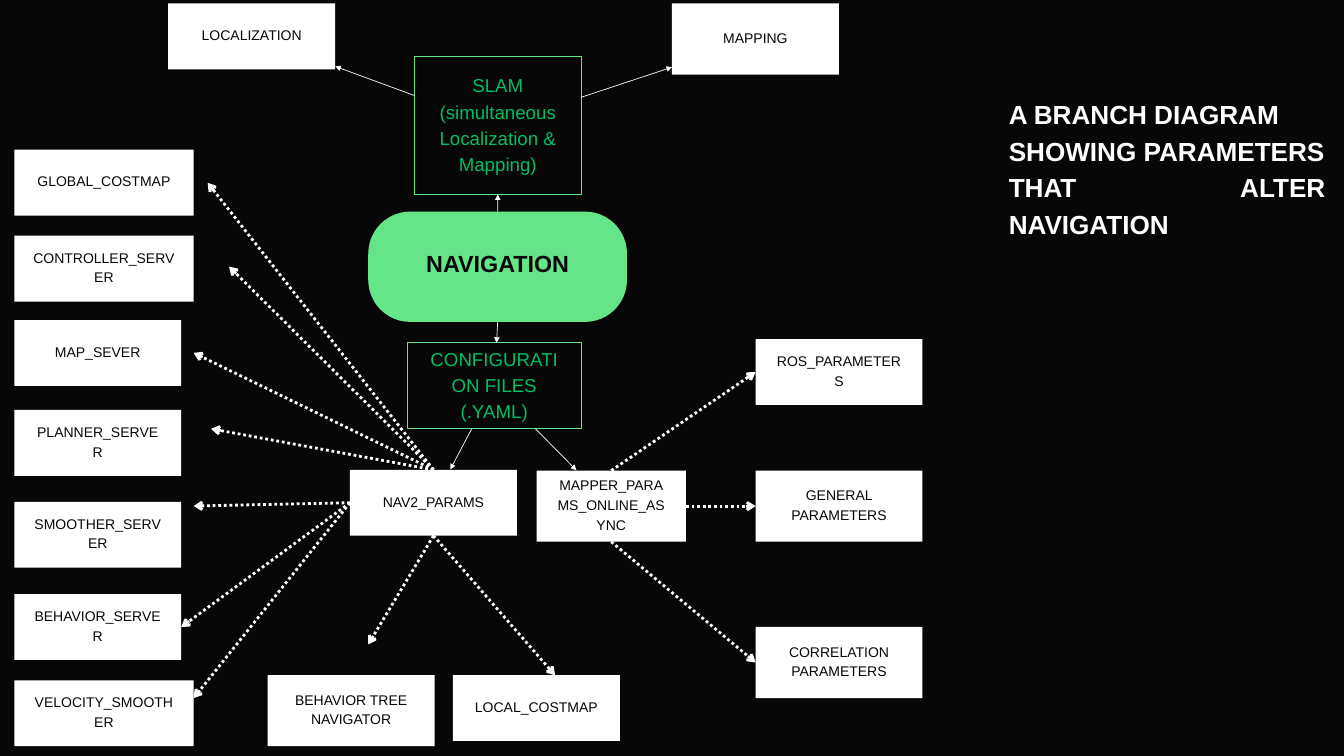
"""Builds a branch diagram of the parameters that alter navigation."""
from lxml.etree import SubElement
from pptx import Presentation
from pptx.dml.color import RGBColor
from pptx.enum.dml import MSO_LINE
from pptx.enum.shapes import MSO_CONNECTOR, MSO_SHAPE
from pptx.enum.text import MSO_ANCHOR, PP_ALIGN
from pptx.oxml.ns import qn
from pptx.util import Cm, Pt

BLACK, WHITE, GREEN, DARK_GREEN = "070707", "FFFFFF", "64E688", "00BF63"
TOP, LEFT, BOTTOM, RIGHT = range(4)


def color(value):
    return RGBColor.from_string(value)


def write(tf, text, size=15, ink=BLACK, bold=False, align=PP_ALIGN.CENTER, spacing=21):
    tf.word_wrap = True
    for i, line in enumerate(text.split("\n")):
        p = tf.paragraphs[0] if i == 0 else tf.add_paragraph()
        p.alignment, p.line_spacing = align, Pt(spacing)
        r = p.add_run()
        r.text = line
        r.font.name, r.font.size, r.font.bold = "Arial", Pt(size), bold
        r.font.color.rgb = color(ink)


class Diagram:
    def __init__(self, s):
        self.s = s
        s.background.fill.solid()
        s.background.fill.fore_color.rgb = color(BLACK)

    def box(self, text, x, y, w=6.31, h=2.49, fill=WHITE, border=None,
            shape=MSO_SHAPE.RECTANGLE, lift=0.2, **style):
        sp = self.s.shapes.add_shape(shape, Cm(x), Cm(y), Cm(w), Cm(h))
        sp.shadow.inherit = False
        sp.fill.solid()
        sp.fill.fore_color.rgb = color(fill)
        if border:
            sp.line.color.rgb = color(border)
            sp.line.width = Pt(0.75)
        else:
            sp.line.fill.background()
        tf = sp.text_frame
        tf.margin_left = tf.margin_right = Cm(0.71)
        tf.margin_top, tf.margin_bottom = 0, Cm(lift)
        tf.vertical_anchor = MSO_ANCHOR.MIDDLE
        write(tf, text, **style)
        return sp

    def pill(self, text, x, y, w, h, radius, **style):
        sp = self.box(text, x, y, w, h, shape=MSO_SHAPE.ROUNDED_RECTANGLE, **style)
        sp.adjustments[0] = radius
        return sp

    def arrow(self, start, end, dotted=False):
        """Draws an arrow; each end is an (x, y) point or a (shape, side) pair."""
        points = [(0, 0) if hasattr(a, "shape_id") else (Cm(a), Cm(b)) for a, b in (start, end)]
        c = self.s.shapes.add_connector(MSO_CONNECTOR.STRAIGHT, *points[0], *points[1])
        for (a, b), join in ((start, c.begin_connect), (end, c.end_connect)):
            if hasattr(a, "shape_id"):
                join(a, b)
        c.line.color.rgb = color(WHITE)
        c.line.width = Pt(3 if dotted else 0.75)
        if dotted:
            c.line.dash_style = MSO_LINE.ROUND_DOT
        ln = c.line._get_or_add_ln()
        SubElement(ln, qn("a:tailEnd"), type="arrow" if dotted else "triangle")
        SubElement(c._element.spPr, qn("a:effectLst"))

    def title(self, text, x, y, w, h, **style):
        tf = self.s.shapes.add_textbox(Cm(x), Cm(y), Cm(w), Cm(h)).text_frame
        tf.margin_left = tf.margin_right = tf.margin_top = tf.margin_bottom = 0
        write(tf, text, **style)


def main():
    prs = Presentation()
    prs.slide_width, prs.slide_height = Cm(50.8), Cm(28.58)
    d = Diagram(prs.slides.add_slide(prs.slide_layouts[6]))

    branch = dict(fill=BLACK, border=GREEN, size=20, ink=DARK_GREEN, spacing=28)
    navigation = d.pill("NAVIGATION", 13.92, 8, 9.78, 4.17, 0.38, fill=GREEN,
                        lift=0.46, size=25, bold=True, spacing=35)
    slam = d.box("SLAM\n(simultaneous Localization & Mapping)", 15.66, 2.14, h=5.21, **branch)
    d.box("CONFIGURATION FILES (.YAML)", 15.38, 12.96, 6.6, 3.25, **branch)

    d.box("LOCALIZATION", 6.36, 0.13)
    d.box("MAPPING", 25.4, 0.13, h=2.69)
    nav2 = d.box("NAV2_PARAMS", 13.23, 17.76)
    mapper = d.box("MAPPER_PARAMS_ONLINE_ASYNC", 20.28, 17.79, 5.65, 2.69)
    d.box("BEHAVIOR TREE NAVIGATOR", 10.12, 25.52, h=2.69)
    d.box("LOCAL_COSTMAP", 17.12, 25.52)

    servers = {
        text: d.box(text, 0.54, y, w)
        for text, y, w in (
            ("GLOBAL_COSTMAP", 5.66, 6.78),
            ("CONTROLLER_SERVER", 8.91, 6.78),
            ("MAP_SEVER", 12.1, 6.31),
            ("PLANNER_SERVER", 15.5, 6.31),
            ("SMOOTHER_SERVER", 18.97, 6.31),
            ("BEHAVIOR_SERVER", 22.46, 6.31),
            ("VELOCITY_SMOOTHER", 25.72, 6.78),
        )
    }

    for text, y, h, side in (
        ("ROS_PARAMETERS", 12.82, 2.49, TOP),
        ("GENERAL PARAMETERS", 17.79, 2.69, RIGHT),
        ("CORRELATION PARAMETERS", 23.7, 2.69, BOTTOM),
    ):
        sp = d.box(text, 28.56, y, h=h)
        d.arrow((mapper, side), (sp, LEFT), dotted=True)

    for start, end in (
        ((navigation, TOP), (slam, BOTTOM)),
        ((navigation, BOTTOM), (18.77, 12.96)),
        ((15.66, 3.61), (12.67, 2.51)),
        ((21.96, 3.68), (25.4, 2.54)),
        ((17.83, 16.21), (17.02, 17.75)),
        ((20.24, 16.21), (21.79, 17.78)),
    ):
        d.arrow(start, end)

    for side, ends in (
        (TOP, ((7.32, 13.34), (7.85, 6.91), (8.66, 10.08), (7.98, 16.21))),
        (LEFT, ((7.32, 19.13), (servers["BEHAVIOR_SERVER"], RIGHT), (7.32, 26.39))),
        (BOTTOM, ((13.92, 24.36), (20.98, 25.53))),
    ):
        for end in ends:
            d.arrow((nav2, side), end, dotted=True)

    d.title("A BRANCH DIAGRAM\nSHOWING PARAMETERS\nTHAT ALTER NAVIGATION",
            38.13, 3.53, 11.96, 4.09, size=28, ink=WHITE, bold=True,
            align=PP_ALIGN.JUSTIFY, spacing=39.2)
    prs.save("out.pptx")


if __name__ == "__main__":
    main()
